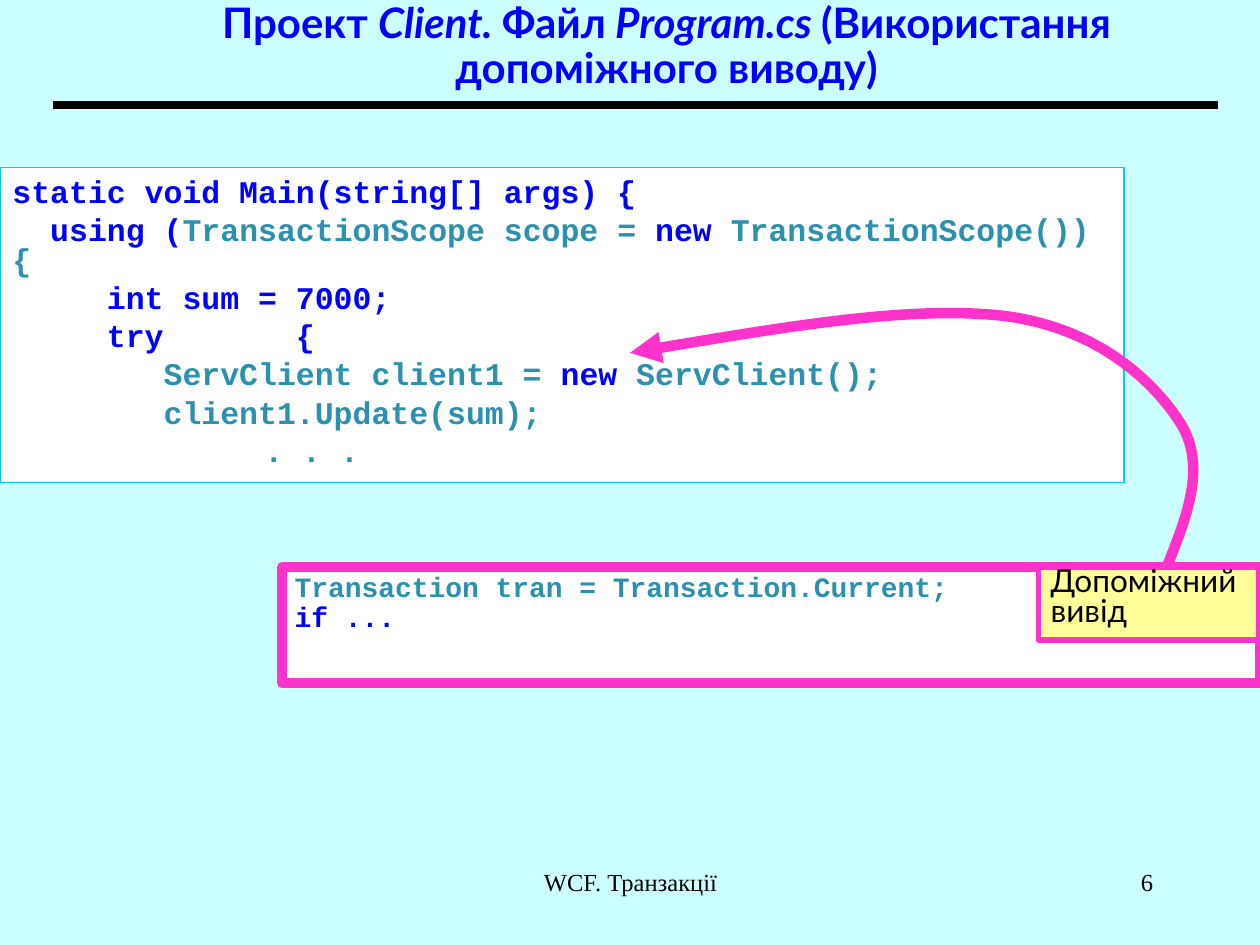
from lxml import etree
from pptx import Presentation
from pptx.dml.color import RGBColor
from pptx.enum.shapes import MSO_CONNECTOR, MSO_SHAPE
from pptx.enum.text import MSO_ANCHOR, MSO_AUTO_SIZE, PP_ALIGN
from pptx.oxml.ns import qn
from pptx.util import Inches, Pt

COLORS = {"back": "CCFFFF", "rule": "000000", "text": "000000", "paper": "FFFFFF",
          "frame": "00CCFF", "accent": "FF33CC", "note": "FFFF99",
          "keyword": "0000FF", "type": "2B91AF"}

TITLE = [("Проект ", False), ("Client. ", True), ("Файл", False),
         (" Program.cs ", True), ("(Використання допоміжного виводу)", False)]
MAIN_CODE = [
    [("static void Main(string[] args) {", "keyword")],
    [("  using (", "keyword"), ("TransactionScope scope = ", "type"),
     ("new ", "keyword"), ("TransactionScope()) {", "type")],
    [("     int sum = 7000;", "keyword")],
    [("     try       {", "keyword")],
    [("        ServClient client1 = ", "type"), ("new ", "keyword"),
     ("ServClient();", "type")],
    [("        client1.Update(sum);", "type")],
    [("\t\t. . .", "type")],
]
EXTRA_CODE = [[("Transaction tran = Transaction.Current;", "type")],
              [("if ...", "keyword")]]
NOTE = [[("Допоміжний вивід", "text")]]
FOOTER = [("WCF. Транзакції", (3.42, 6.83, 3.17, 0.5), PP_ALIGN.CENTER),
          ("6", (7.17, 6.83, 2.08, 0.5), PP_ALIGN.RIGHT)]
# Start point, then three Bezier points per curve segment
ARROW = [(9.26, 4.5),
         (9.42, 4.1), (9.58, 3.7), (9.37, 3.36),
         (9.16, 3.03), (8.72, 2.61), (7.99, 2.51),
         (7.26, 2.42), (6.13, 2.61), (5, 2.8)]


def rgb(name):
    return RGBColor.from_string(COLORS[name])


def set_line(shape, color, width):
    shape.line.color.rgb = rgb(color)
    shape.line.width = Pt(width)


def set_margins(tf, *margins):
    tf.margin_left, tf.margin_top, tf.margin_right, tf.margin_bottom = map(Inches, margins)


def add_run(p, text, font, size, color, bold=False, italic=False):
    r = p.add_run()
    r.text = text
    r.font.name, r.font.size = font, Pt(size)
    r.font.bold, r.font.italic = bold, italic
    r.font.color.rgb = rgb(color)


def add_tabs(p, count):
    """Set left tab stops one inch apart."""
    tabs = etree.SubElement(p._p.get_or_add_pPr(), qn("a:tabLst"))
    for i in range(1, count + 1):
        etree.SubElement(tabs, qn("a:tab"), pos=str(Inches(i)), algn="l")


def add_box(slide, box, fill, line, lines, font, size, bold, spacing, before, margins):
    sp = slide.shapes.add_shape(MSO_SHAPE.RECTANGLE, *map(Inches, box))
    sp.shadow.inherit = False
    sp.fill.solid()
    sp.fill.fore_color.rgb = rgb(fill)
    set_line(sp, *line)
    tf = sp.text_frame
    tf.word_wrap = True
    tf.vertical_anchor = MSO_ANCHOR.TOP
    set_margins(tf, *margins)
    for i, runs in enumerate(lines):
        p = tf.add_paragraph() if i else tf.paragraphs[0]
        if runs[0][0].startswith("\t"):
            add_tabs(p, 2)
        p.alignment = PP_ALIGN.LEFT
        p.line_spacing = spacing
        if i:
            p.space_before = Pt(before)
        for text, color in runs:
            add_run(p, text, font, size, color, bold)


def add_curved_arrow(slide, points):
    """Draw an open Bezier path that ends in an arrowhead."""
    pts = [(Inches(x), Inches(y)) for x, y in points]
    builder = slide.shapes.build_freeform(*pts[0])
    builder.add_line_segments(pts[1:], close=False)
    sp = builder.convert_to_shape()
    sp.shadow.inherit = False
    sp.fill.background()
    set_line(sp, "accent", 6)
    path = sp._element.find(".//" + qn("a:path"))
    segments = path.findall(qn("a:lnTo"))
    for i in range(0, len(segments), 3):
        curve = etree.SubElement(path, qn("a:cubicBezTo"))
        for segment in segments[i:i + 3]:
            curve.append(segment[0])
            path.remove(segment)
    etree.SubElement(sp.line._get_or_add_ln(), qn("a:tailEnd"), type="triangle")


def add_title(slide):
    title = slide.shapes.title
    title.left, title.top, title.width, title.height = map(Inches, (0.83, 0, 8.92, 0.75))
    tf = title.text_frame
    tf.word_wrap = True
    tf.auto_size = MSO_AUTO_SIZE.NONE
    tf.vertical_anchor = MSO_ANCHOR.MIDDLE
    set_margins(tf, 0.1, 0.05, 0.1, 0.05)
    p = tf.paragraphs[0]
    p.alignment = PP_ALIGN.CENTER
    p.line_spacing = 0.9
    for text, italic in TITLE:
        add_run(p, text, "Lato", 24, "keyword", True, italic)


def add_rule(slide):
    rule = slide.shapes.add_connector(MSO_CONNECTOR.STRAIGHT,
                                      *map(Inches, (0.42, 0.83, 9.67, 0.83)))
    set_line(rule, "rule", 4.5)
    etree.SubElement(rule._element.spPr, qn("a:effectLst"))


def add_footer(slide):
    for text, box, align in FOOTER:
        tf = slide.shapes.add_textbox(*map(Inches, box)).text_frame
        tf.word_wrap = True
        p = tf.paragraphs[0]
        p.alignment = align
        add_run(p, text, "Times New Roman", 14, "text")


def main():
    prs = Presentation()
    prs.slide_width, prs.slide_height = Inches(10), Inches(7.5)
    slide = prs.slides.add_slide(prs.slide_layouts[5])
    slide.background.fill.solid()
    slide.background.fill.fore_color.rgb = rgb("back")

    add_title(slide)
    add_rule(slide)
    code_margins = (0.1, 0.09, 0.1, 0.05)
    add_box(slide, (0, 1.33, 8.92, 2.5), "paper", ("frame", 1), MAIN_CODE,
            "Courier New", 18, True, 0.8, 4.5, code_margins)
    add_box(slide, (2.24, 4.5, 7.76, 0.92), "paper", ("accent", 6), EXTRA_CODE,
            "Courier New", 16, True, 0.7, 4, code_margins)
    add_box(slide, (8.24, 4.5, 1.75, 0.58), "note", ("accent", 3), NOTE,
            "Lato", 18, False, 0.8, 0, (0.1, 0.01, 0.02, 0.01))
    add_curved_arrow(slide, ARROW)
    add_footer(slide)
    prs.save("out.pptx")


if __name__ == "__main__":
    main()
